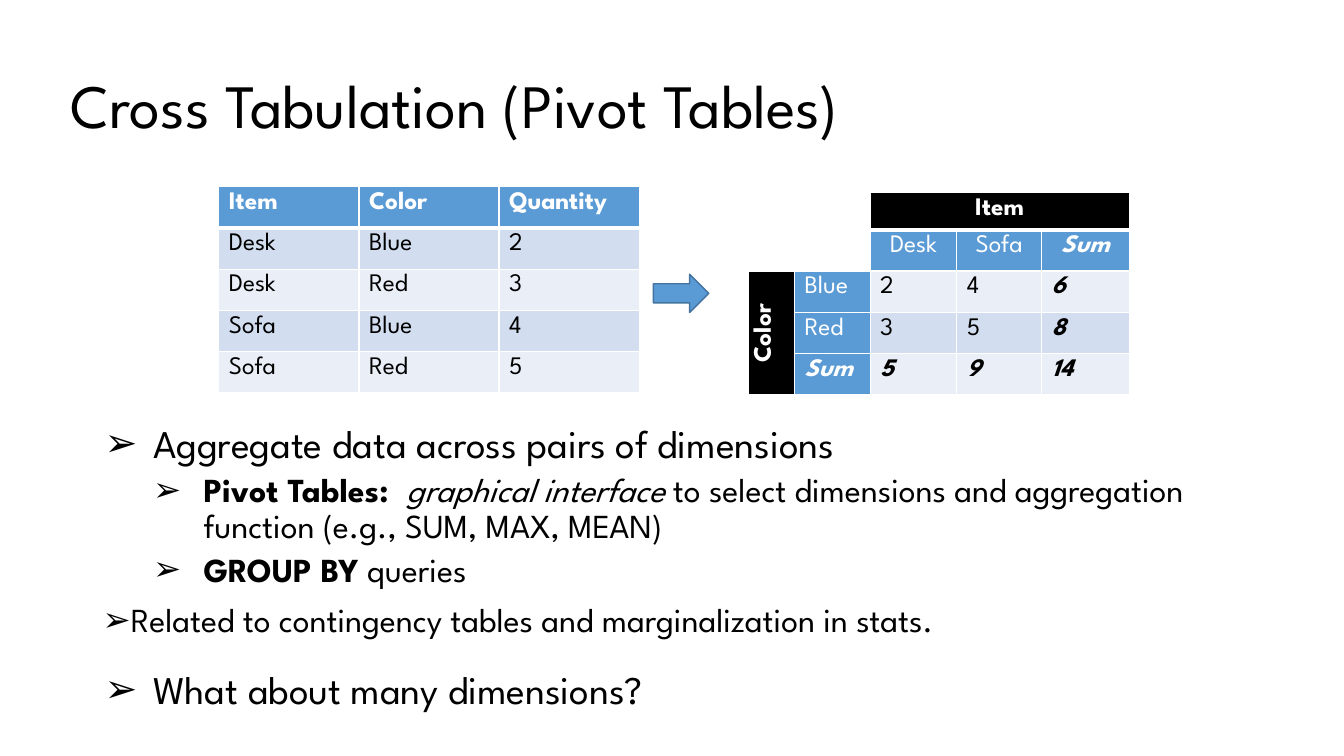
from dataclasses import dataclass

from lxml.etree import SubElement
from pptx import Presentation
from pptx.dml.color import RGBColor as Rgb
from pptx.enum.shapes import MSO_SHAPE as Shape
from pptx.enum.text import MSO_ANCHOR as Anchor, PP_ALIGN as Align
from pptx.oxml.ns import qn
from pptx.util import Inches, Pt


@dataclass(frozen=True)
class Theme:
    font: str = "League Spartan"
    ink: str = "000000"
    paper: str = "FFFFFF"
    accent: str = "5B9BD5"
    outline: str = "43739E"
    band_dark: str = "D2DEEF"
    band_light: str = "EAEFF7"
    title: int = 44
    lead: int = 28
    detail: int = 24
    table: int = 18


THEME = Theme()


def add_span(para, text, size, color=THEME.ink, bold=False, italic=False):
    span = para.add_run()
    span.text = text
    font = span.font
    font.name, font.size, font.bold, font.italic = THEME.font, Pt(size), bold, italic
    font.color.rgb = Rgb.from_string(color)


def add_bullet(para, left, hanging):
    props = para._p.get_or_add_pPr()
    props.set("marL", str(Inches(left)))
    props.set("indent", str(Inches(hanging)))
    color = SubElement(props, qn("a:buClr"))
    SubElement(color, qn("a:srgbClr"), val=THEME.ink)
    SubElement(props, qn("a:buFont"), typeface="Arial")
    SubElement(props, qn("a:buChar"), char="➢")


def add_borders(cell, bottom):
    props = cell._tc.get_or_add_tcPr()
    for side, width in (("L", 1), ("R", 1), ("T", 1), ("B", bottom)):
        line = SubElement(props, qn(f"a:ln{side}"), w=str(Pt(width)))
        fill = SubElement(line, qn("a:solidFill"))
        SubElement(fill, qn("a:srgbClr"), val=THEME.paper)


class Page:
    """Draws styled elements on one slide."""

    def __init__(self, deck, theme):
        self.theme = theme
        self.shapes = deck.slides.add_slide(deck.slide_layouts[6]).shapes

    def text_frame(self, left, top, width, height, anchor=Anchor.TOP):
        box = self.shapes.add_textbox(*map(Inches, (left, top, width, height)))
        box.text_frame.word_wrap = True
        box.text_frame.vertical_anchor = anchor
        return box.text_frame

    def title(self, text, *place):
        para = self.text_frame(*place, anchor=Anchor.MIDDLE).paragraphs[0]
        para.line_spacing = 0.9
        add_span(para, text, self.theme.title)

    def bullets(self, items, *place):
        frame = self.text_frame(*place)
        for index, (size, before, left, hanging, spans) in enumerate(items):
            para = frame.add_paragraph() if index else frame.paragraphs[0]
            add_bullet(para, left, hanging)
            para.line_spacing = 0.9
            para.space_before = Pt(before if index else 0)
            for text, style in spans:
                add_span(para, text, size, **style)

    def arrow(self, *place):
        arrow = self.shapes.add_shape(Shape.RIGHT_ARROW, *map(Inches, place))
        arrow.shadow.inherit = False
        arrow.fill.solid()
        arrow.fill.fore_color.rgb = Rgb.from_string(self.theme.accent)
        arrow.line.color.rgb = Rgb.from_string(self.theme.outline)
        arrow.line.width = Pt(1)

    def table(self, left, top, widths, heights, rows, style):
        size = map(Inches, (left, top, sum(widths), sum(heights)))
        table = self.shapes.add_table(len(rows), len(widths), *size).table
        table.first_row = table.horz_banding = False
        for column, width in zip(table.columns, widths):
            column.width = Inches(width)
        for r, (row, height) in enumerate(zip(rows, heights)):
            table.rows[r].height = Inches(height)
            for c, text in enumerate(row):
                cell = table.cell(r, c)
                add_borders(cell, 1 if r else 3)
                if height < 0.4:
                    cell.margin_bottom = Inches(0.01)
                if text:
                    self.fill_cell(cell, text, **style(r, c))
                else:
                    cell.fill.background()
        return table

    def fill_cell(self, cell, text, fill, align=Align.LEFT, **style):
        cell.fill.solid()
        cell.fill.fore_color.rgb = Rgb.from_string(fill)
        para = cell.text_frame.paragraphs[0]
        para.alignment = align
        add_span(para, text, self.theme.table, **style)


def band(row):
    return THEME.band_dark if row % 2 else THEME.band_light


def source_style(row, column):
    if row == 0:
        return dict(fill=THEME.accent, color=THEME.paper, bold=True)
    return dict(fill=band(row))


def pivot_style(row, column):
    if row == 0 or column == 0:
        return dict(fill=THEME.ink, color=THEME.paper, bold=True, align=Align.CENTER)
    total = row == 4 or column == 4
    style = dict(fill=band(row), bold=total, italic=total)
    if row == 1 or column == 1:
        style.update(fill=THEME.accent, color=THEME.paper)
    if row == 1:
        style.update(align=Align.CENTER)
    return style


def main():
    deck = Presentation()
    deck.slide_width, deck.slide_height = Inches(13.33), Inches(7.5)
    page = Page(deck, THEME)
    page.title("Cross Tabulation (Pivot Tables)", 0.6, 0.35, 11.81, 1.45)

    bold, italic, plain = dict(bold=True), dict(italic=True), {}
    lead = (THEME.lead, 22, 0.5, -0.48)
    detail = (THEME.detail, 5, 1, -0.5)
    page.bullets([
        (*lead, [("Aggregate data across pairs of dimensions", plain)]),
        (*detail, [
            ("Pivot Tables:  ", bold),
            ("graphical interface ", italic),
            ("to select dimensions and aggregation function (e.g., SUM, MAX, MEAN)", plain),
        ]),
        (*detail, [("GROUP BY", bold), (" queries", plain)]),
        (THEME.detail, 10, 0.25, -0.5, [
            ("Related to contingency tables and marginalization in stats.", plain),
        ]),
        (*lead, [("What about many dimensions?", plain)]),
    ], 0.92, 4.16, 11.71, 2.96)

    source_rows = [
        ("Item", "Color", "Quantity"),
        ("Desk", "Blue", "2"),
        ("Desk", "Red", "3"),
        ("Sofa", "Blue", "4"),
        ("Sofa", "Red", "5"),
    ]
    page.table(2.17, 1.85, [1.39] * 3, [0.41] * 5, source_rows, source_style)
    page.arrow(6.48, 2.72, 0.55, 0.38)

    pivot_rows = [
        ("", "", "Item", "", ""),
        ("", "", "Desk", "Sofa", "Sum"),
        ("Color", "Blue", "2", "4", "6"),
        ("", "Red", "3", "5", "8"),
        ("", "Sum", "5", "9", "14"),
    ]
    pivot = page.table(7.42, 1.91, [0.46, 0.75, 0.86, 0.84, 0.87],
                       [0.37] + [0.41] * 4, pivot_rows, pivot_style)
    pivot.cell(0, 2).merge(pivot.cell(0, 4))
    color_cell = pivot.cell(2, 0)
    color_cell.merge(pivot.cell(4, 0))
    color_cell.vertical_anchor = Anchor.MIDDLE
    color_cell._tc.get_or_add_tcPr().set("vert", "vert270")
    deck.save("out.pptx")


if __name__ == "__main__":
    main()
